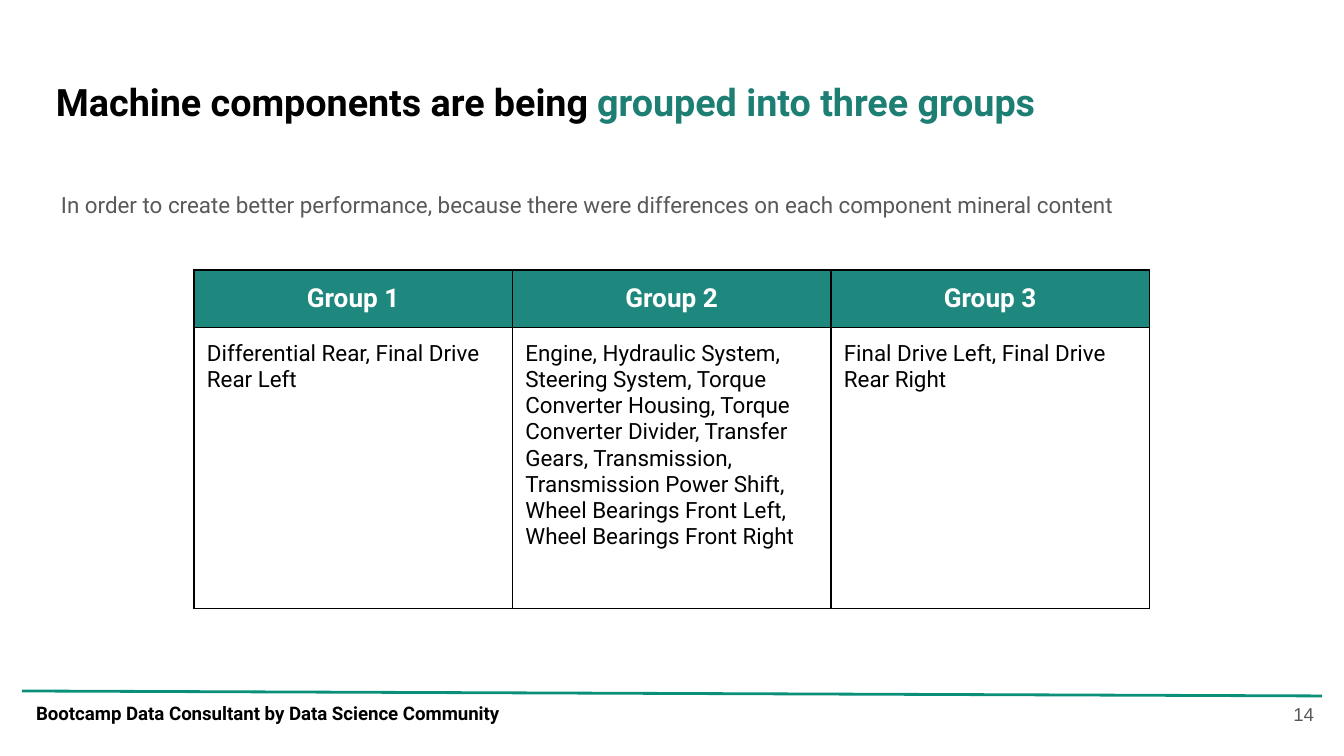
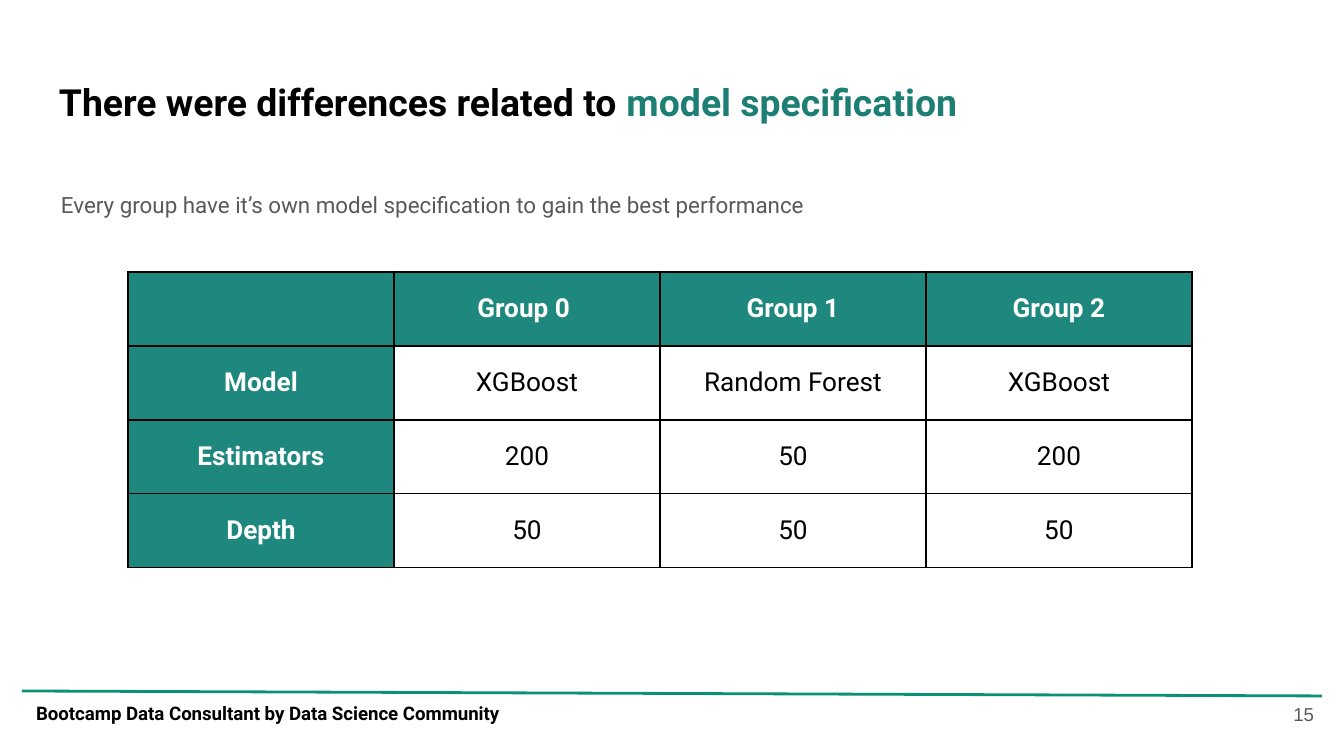
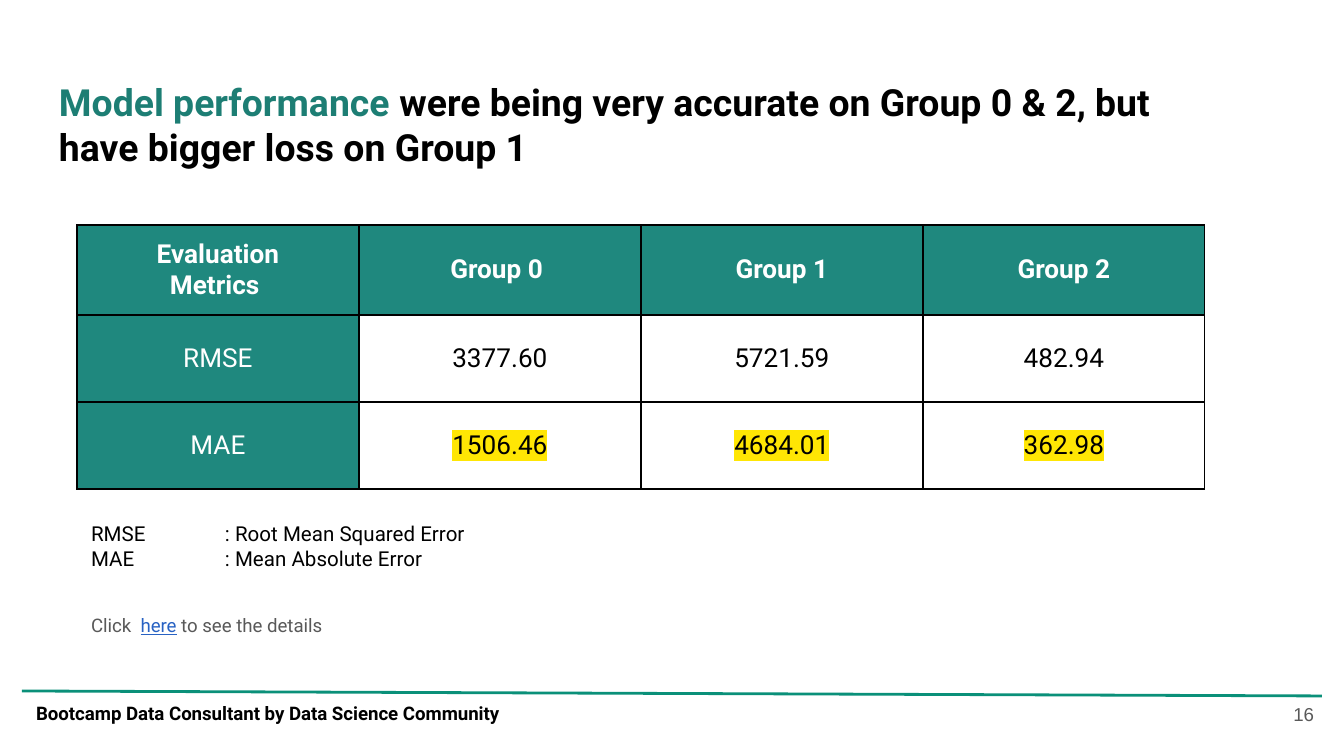
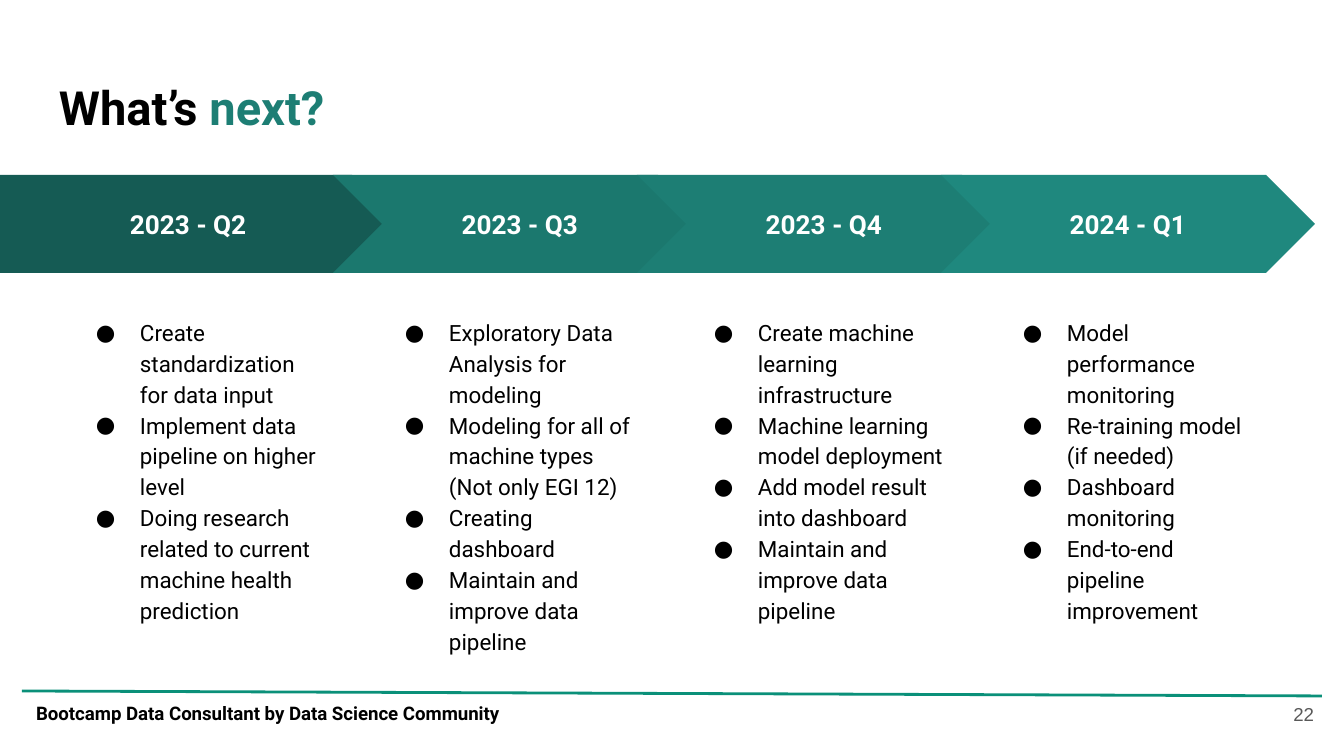
"""Build four project slides: groups, model specification, performance and roadmap."""
from dataclasses import dataclass

from lxml.etree import SubElement
from pptx import Presentation
from pptx.dml.color import RGBColor
from pptx.enum.shapes import MSO_CONNECTOR, MSO_SHAPE
from pptx.enum.text import MSO_ANCHOR, PP_ALIGN
from pptx.oxml import parse_xml
from pptx.oxml.ns import nsdecls, qn
from pptx.util import Emu, Pt


@dataclass(frozen=True)
class Theme:
    """Fonts, colours and type sizes."""
    font: str = "Roboto"
    number_font: str = "Arial"
    black: str = "000000"
    white: str = "FFFFFF"
    grey: str = "595959"
    accent: str = "1D7E74"
    header: str = "1F887E"
    rule: str = "0A9079"
    link: str = "2862C3"
    marker: str = "FFE604"
    arrows: tuple = ("155B54", "1B786E", "1D7E74", "1F887E")
    small: float = 10
    note: float = 11
    body: float = 12
    label: float = 14
    title: float = 20
    big_title: float = 25.2


T = Theme()
PX = 914400 / 134.4
INSET = 13
FOOTER = "Bootcamp Data Consultant by Data Science Community"
ACCENT = {"color": T.accent}

SLIDES = [
    {
        "number": 14,
        "title": [("Machine components are being ", {}), ("grouped into three groups", ACCENT)],
        "title_left": 43,
        "title_size": 20.2,
        "subtitle": "In order to create better performance, because there were differences "
                    "on each component mineral content",
        "table": {
            "at": (194, 270), "col": 318.5, "heights": (54, 281),
            "size": T.body, "align": PP_ALIGN.LEFT, "anchor": MSO_ANCHOR.TOP,
            "rows": [
                ("Group 1", "Group 2", "Group 3"),
                ("Differential Rear, Final Drive Rear Left",
                 "Engine, Hydraulic System, Steering System, Torque Converter Housing, "
                 "Torque Converter Divider, Transfer Gears, Transmission, Transmission "
                 "Power Shift, Wheel Bearings Front Left, Wheel Bearings Front Right",
                 "Final Drive Left, Final Drive Rear Right"),
            ],
        },
    },
    {
        "number": 15,
        "title": [("There were differences related to ", {}), ("model specification", ACCENT)],
        "subtitle": "Every group have it’s own model specification to gain the best performance",
        "table": {
            "at": (128, 272), "col": 266, "heights": (74, 74, 74, 74),
            "row_heads": True, "bold_heads": True,
            "rows": [
                ("", "Group 0 ", "Group 1", "Group 2"),
                ("Model", "XGBoost", "Random Forest", "XGBoost"),
                ("Estimators", "200", "50", "200"),
                ("Depth", "50", "50", "50"),
            ],
        },
    },
    {
        "number": 16,
        "title": [("Model performance ", ACCENT),
                  ("were being very accurate on Group 0 & 2, but have bigger loss on Group 1", {})],
        "title_width": 1193,
        "table": {
            "at": (77, 225), "col": 282, "heights": (90, 87, 87),
            "row_heads": True, "marked_row": 2,
            "rows": [
                ("Evaluation\nMetrics ", "Group 0 ", "Group 1", "Group 2"),
                ("RMSE", "3377.60", "5721.59", "482.94"),
                ("MAE", "1506.46", "4684.01", "362.98"),
            ],
        },
        "notes": [
            ((78, 603, 435, 50),
             [[("Click  ", {}), ("here", {"color": T.link, "underline": True}),
               (" to see the details", {})]],
             {"size": T.small, "color": T.grey}),
            ((78, 508, 435, 77),
             ["RMSE\t: Root Mean Squared Error", "MAE\t: Mean Absolute Error"],
             {"size": T.note, "tab": 134}),
        ],
    },
    {
        "number": 22,
        "title": [("What’s ", {}), ("next?", ACCENT)],
        "title_size": T.big_title,
        "roadmap": [
            ("2023 - Q2", ["Create standardization for data input",
                           "Implement data pipeline on higher level",
                           "Doing research related to current machine health prediction"]),
            ("2023 - Q3", ["Exploratory Data Analysis for modeling",
                           "Modeling for all of machine types (Not only EGI 12)",
                           "Creating dashboard",
                           "Maintain and improve data pipeline"]),
            ("2023 - Q4", ["Create machine learning infrastructure",
                           "Machine learning model deployment",
                           "Add model result into dashboard",
                           "Maintain and improve data pipeline"]),
            ("2024 - Q1", ["Model performance monitoring",
                           "Re-training model (if needed)",
                           "Dashboard monitoring",
                           "End-to-end pipeline improvement"]),
        ],
    },
]


def px(*values):
    return [Emu(round(v * PX)) for v in values]


def rgb(color):
    return RGBColor.from_string(color)


def style_run(r, size=T.body, color=T.black, bold=False, underline=None, font=T.font, mark=None):
    r.font.size, r.font.bold, r.font.underline = Pt(size), bold, underline
    r.font.name = font
    r.font.color.rgb = rgb(color)
    if mark:
        r.font.fill._xPr.find(qn("a:solidFill")).addnext(parse_xml(
            f'<a:highlight {nsdecls("a")}><a:srgbClr val="{mark}"/></a:highlight>'))


def write(tf, paragraphs, align=PP_ALIGN.LEFT, anchor=MSO_ANCHOR.TOP, spacing=None,
          bullet=False, tab=None, **fmt):
    tf.word_wrap = True
    tf.vertical_anchor = anchor
    tf.margin_left, tf.margin_top, tf.margin_right, tf.margin_bottom = px(*[INSET] * 4)
    fill_text(tf, paragraphs, align, spacing, bullet, tab, fmt)


def fill_text(tf, paragraphs, align, spacing, bullet, tab, fmt):
    for i, runs in enumerate(paragraphs):
        p = tf.add_paragraph() if i else tf.paragraphs[0]
        p.alignment, p.line_spacing = align, spacing
        pPr = p._p.get_or_add_pPr()
        if bullet:
            indent, hang = px(67, 44)
            pPr.set("marL", str(indent))
            pPr.set("indent", str(-hang))
            SubElement(SubElement(pPr, qn("a:buClr")), qn("a:srgbClr"), val=T.black)
            SubElement(pPr, qn("a:buFont"), typeface=T.font)
            SubElement(pPr, qn("a:buChar"), char="●")
        if tab:
            SubElement(SubElement(pPr, qn("a:tabLst")), qn("a:tab"), pos=str(px(tab)[0]), algn="l")
        for text, extra in [(runs, {})] if isinstance(runs, str) else runs:
            for j, line in enumerate(text.split("\n")):
                if j:
                    p.add_line_break()
                r = p.add_run()
                r.text = line
                style_run(r, **{**fmt, **extra})


def add_text(s, box, paragraphs, **fmt):
    write(s.shapes.add_textbox(*px(*box)).text_frame, paragraphs, **fmt)


def add_frame(s, number):
    rule = s.shapes.add_connector(MSO_CONNECTOR.STRAIGHT, *px(22, 691, 1322, 696))
    rule.line.color.rgb, rule.line.width = rgb(T.rule), Pt(1.5)
    SubElement(rule._element.spPr, qn("a:effectLst"))
    add_text(s, (23, 691, 542, 50), [FOOTER], size=T.small, bold=True)
    add_text(s, (1246, 685, 81, 58), [str(number)], size=T.small, color=T.grey,
             font=T.number_font, align=PP_ALIGN.RIGHT, anchor=MSO_ANCHOR.MIDDLE)


def add_borders(cell):
    tcPr = cell._tc.get_or_add_tcPr()
    for i, side in enumerate(("lnL", "lnR", "lnT", "lnB")):
        tcPr.insert(i, parse_xml(
            f'<a:{side} {nsdecls("a")} w="{Pt(0.75)}"><a:solidFill>'
            f'<a:srgbClr val="{T.black}"/></a:solidFill></a:{side}>'))


def write_cell(cell, text, **fmt):
    cell.vertical_anchor = fmt.pop("anchor")
    cell.margin_left, cell.margin_top, cell.margin_right, cell.margin_bottom = px(*[INSET] * 4)
    if text:
        fill_text(cell.text_frame, [text], fmt.pop("align"), None, False, None, fmt)


def add_grid(s, at, col, heights, rows, size=T.label, align=PP_ALIGN.CENTER,
             anchor=MSO_ANCHOR.MIDDLE, row_heads=False, bold_heads=False, marked_row=None):
    n = len(rows[0])
    tbl = s.shapes.add_table(len(rows), n, *px(*at, col * n, sum(heights))).table
    tbl.first_row = tbl.horz_banding = False
    for column in tbl.columns:
        column.width = px(col)[0]
    for i, (row, height) in enumerate(zip(rows, heights)):
        tbl.rows[i].height = px(height)[0]
        for j, text in enumerate(row):
            cell = tbl.cell(i, j)
            head = i == 0 or (row_heads and j == 0)
            cell.fill.solid()
            cell.fill.fore_color.rgb = rgb(T.header if head else T.white)
            add_borders(cell)
            if head:
                write_cell(cell, text, size=T.label, color=T.white, bold=i == 0 or bold_heads,
                           align=PP_ALIGN.CENTER, anchor=anchor)
            else:
                write_cell(cell, text, size=size, align=align, anchor=anchor,
                           mark=T.marker if i == marked_row else None)


def add_roadmap(s, stages):
    for i, ((quarter, tasks), color) in enumerate(zip(stages, T.arrows)):
        kind, left, width = ((MSO_SHAPE.CHEVRON, 29 + 304 * i, 374) if i
                             else (MSO_SHAPE.PENTAGON, 0, 401))
        sp = s.shapes.add_shape(kind, *px(left, 175, width, 98))
        sp.shadow.inherit = False
        sp.fill.solid()
        sp.fill.fore_color.rgb = rgb(color)
        sp.line.fill.background()
        write(sp.text_frame, [quarter], size=T.label, color=T.white, bold=True,
              align=PP_ALIGN.CENTER, anchor=MSO_ANCHOR.MIDDLE)
        add_text(s, (60 + 309 * i, 302, 280, 384), tasks, bullet=True, spacing=1.15)


def main():
    prs = Presentation()
    prs.slide_width, prs.slide_height = px(1344, 756)
    for data in SLIDES:
        s = prs.slides.add_slide(prs.slide_layouts[6])
        add_frame(s, data["number"])
        add_text(s, (data.get("title_left", 46), 66, data.get("title_width", 1028), 84),
                 [data["title"]], size=data.get("title_size", T.title), bold=True)
        if "subtitle" in data:
            add_text(s, (48, 178, 1188, 54), [data["subtitle"]], color=T.grey)
        if "table" in data:
            add_grid(s, **data["table"])
        for box, paragraphs, fmt in data.get("notes", []):
            add_text(s, box, paragraphs, **fmt)
        if "roadmap" in data:
            add_roadmap(s, data["roadmap"])
    prs.save("out.pptx")


if __name__ == "__main__":
    main()
